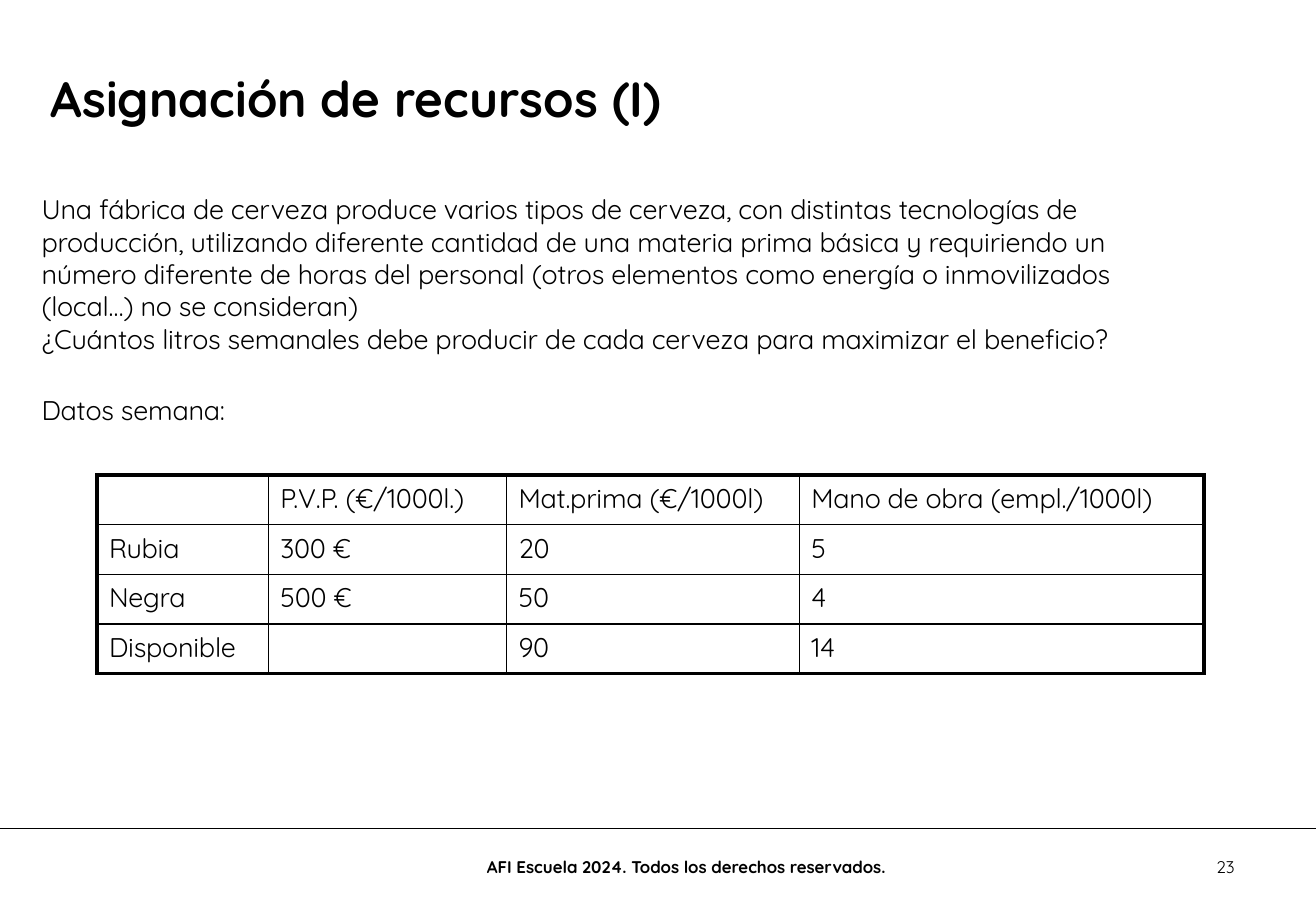
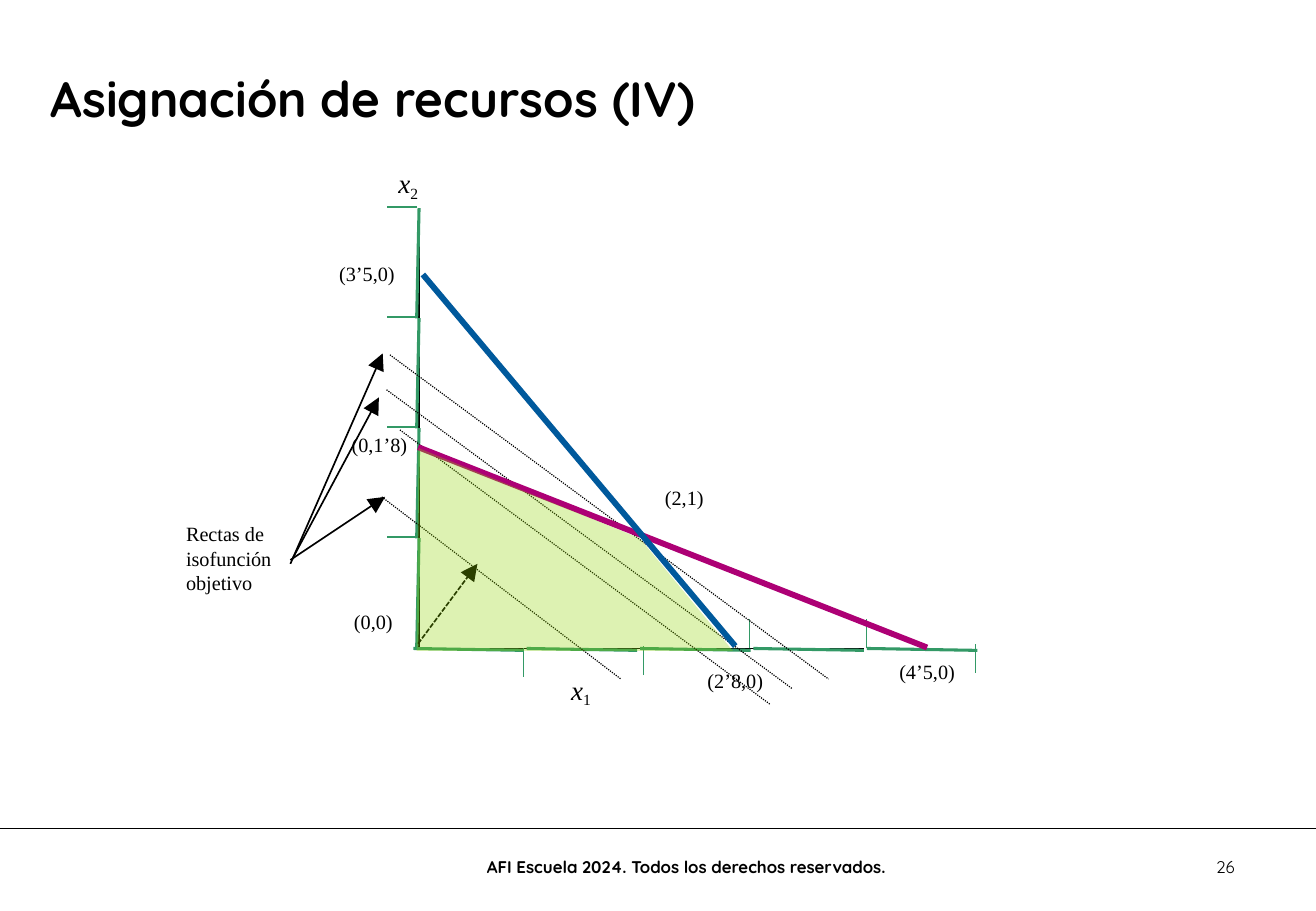
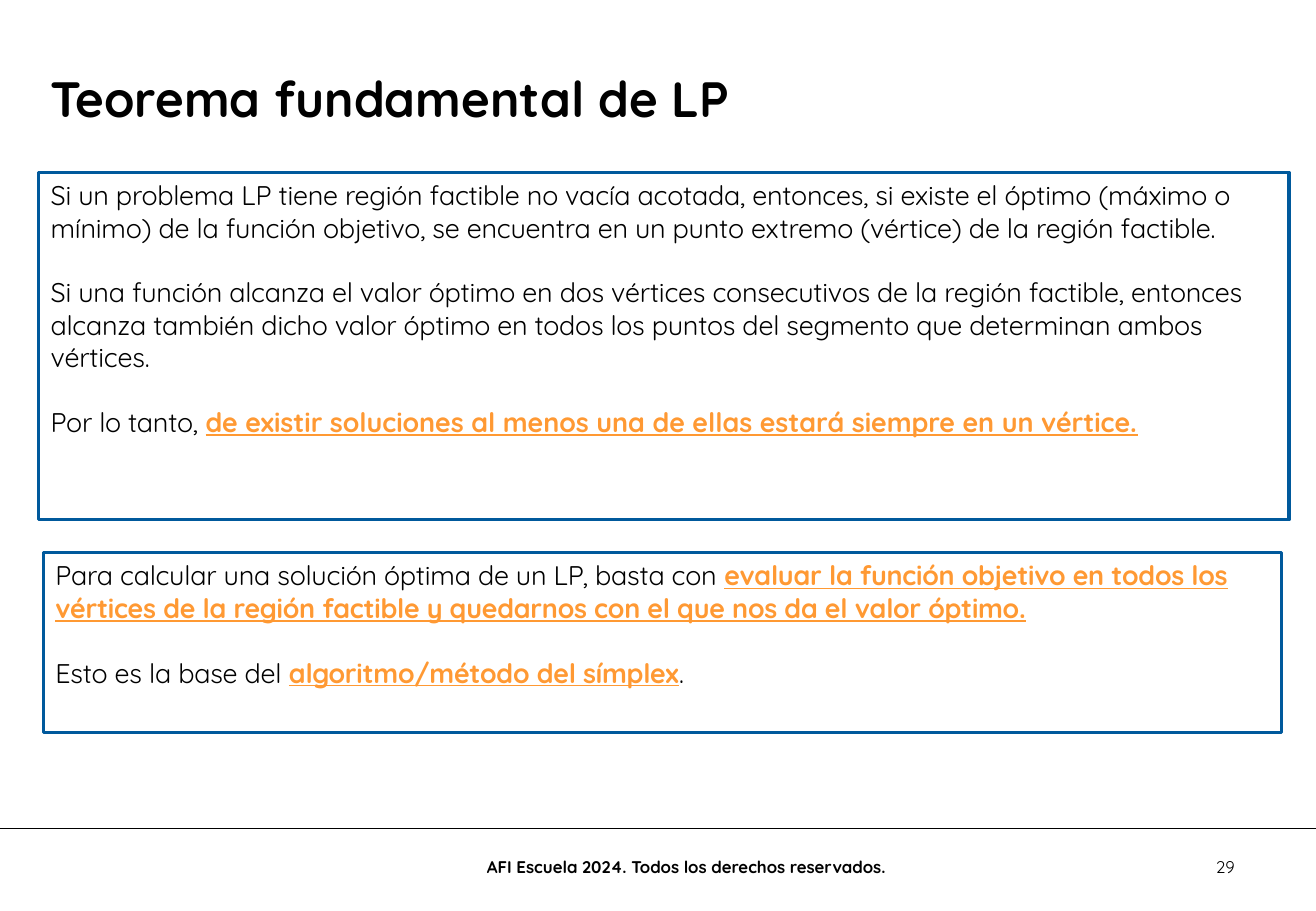
"""Builds three slides on resource allocation and linear programming."""
from dataclasses import dataclass, replace

from lxml.etree import SubElement
from pptx import Presentation
from pptx.dml.color import RGBColor
from pptx.enum.dml import MSO_LINE_DASH_STYLE as Dash
from pptx.enum.shapes import MSO_CONNECTOR as Link, MSO_SHAPE as Shape
from pptx.enum.text import MSO_ANCHOR as Anchor, PP_ALIGN as Align
from pptx.oxml.ns import qn
from pptx.util import Cm, Pt


@dataclass(frozen=True)
class Style:
    """Look of a run of text."""
    font: str = "Quicksand"
    size: float = 16
    color: str = "000000"
    bold: bool = False
    italic: bool = False
    underline: bool = False
    spacing: int = -10
    baseline: int = 0


@dataclass(frozen=True)
class Theme:
    """Colours and type styles of the deck."""
    black: str = "000000"
    white: str = "FFFFFF"
    blue: str = "00599C"
    magenta: str = "AD0075"
    axis: str = "339966"
    region: str = "8FD400"
    title: Style = Style(size=29.4, bold=True, spacing=0)
    number: Style = Style(size=10, spacing=0)
    footer: Style = Style(size=10, bold=True, spacing=0)
    body: Style = Style()
    key: Style = Style(color="FF9933", bold=True, underline=True, spacing=0)
    label: Style = Style(font="Times New Roman", size=12, spacing=0)
    variable: Style = Style(font="Times New Roman", italic=True, spacing=0)
    index: Style = Style(font="Times New Roman", size=15.8, spacing=0, baseline=-21000)


THEME = Theme()
BODY, KEY = THEME.body, THEME.key
KEY_TIGHT = replace(KEY, spacing=-10)

FOOTER = "AFI Escuela 2024. Todos los derechos reservados."
DEFAULT_INSETS = (0.25, 0.13, 0.25, 0.13)

STATEMENT = [
    [("Una fábrica de cerveza produce varios tipos de cerveza, con distintas tecnologías de "
      "producción, utilizando diferente cantidad de una materia prima básica y requiriendo un "
      "número diferente de horas del personal (otros elementos como energía o inmovilizados "
      "(local…) no se consideran)", BODY)],
    [("¿Cuántos litros semanales debe producir de cada cerveza para maximizar el beneficio?", BODY)],
    [("Datos semana:", BODY)],
]
WEEK_DATA = [
    ("", "P.V.P. (€/1000l.)", "Mat.prima (€/1000l)", "Mano de obra (empl./1000l)"),
    ("Rubia", "300 €", "20", "5"),
    ("Negra", "500 €", "50", "4"),
    ("Disponible", "", "90", "14"),
]
COLUMN_WIDTHS = (3.58, 4.98, 6.12, 8.46)
ROW_HEIGHT = 1.04

POINT_LABELS = [
    ("(4’5,0)", 18.77, 13.72), ("(2,1)", 13.87, 10.08), ("(3’5,0)", 7.06, 5.41),
    ("(0,1’8)", 7.32, 8.97), ("(0,0)", 7.37, 12.69), ("(2’8,0)", 14.76, 13.92),
]
AXIS_NAMES = [("2", 8.23, 3.43), ("1", 11.84, 14.02)]
ISO_LABEL = "Rectas de isofunción objetivo"
THIN_AXES = [(8.76, 4.55, 8.76, 13.56), (8.76, 13.56, 18.06, 13.56)]
X_TICKS = [(10.95, 13.54), (13.46, 13.51), (15.67, 12.95), (18.11, 12.95), (20.4, 13.46)]
Y_TICK_COUNT = 4
X_STEP, Y_STEP, SEGMENT, TICK = 2.37, 2.3, 2.31, 0.61
ISO_LINES = [
    (7.98, 10.39, 12.98, 14.2), (8.36, 8.99, 16.1, 14.73),
    (8.08, 8.15, 16.56, 14.4), (8.15, 7.42, 17.32, 14.2),
]
ISO_ARROWS = [
    (6.1, 11.71, 7.92, 8.31), (6.07, 11.79, 8, 7.39), (6.07, 11.71, 8.05, 10.39),
]
GRADIENT = (8.74, 13.46, 9.98, 11.79)
CONSTRAINTS = [
    ((8.74, 9.35, 19.38, 13.54), THEME.magenta),
    ((8.84, 5.74, 15.37, 13.51), THEME.blue),
]
REGION = [(8.75, 9.37), (13.31, 11.23), (13.41, 11.3), (15.32, 13.61), (8.71, 13.61)]

THEOREM_BOXES = [
    ((0.81, 3.61, 26.14, 7.26), [
        [("Si un problema LP tiene región factible no vacía acotada, entonces, si existe el óptimo "
          "(máximo o mínimo) de la función objetivo, se encuentra en un punto extremo (vértice) "
          "de la región factible.", BODY)],
        [("Si una función alcanza el valor óptimo en dos vértices consecutivos de la región "
          "factible, entonces alcanza también dicho valor óptimo en todos los puntos del segmento "
          "que determinan ambos vértices.", BODY)],
        [("Por lo tanto, ", BODY),
         ("de existir soluciones al menos una de ellas estará siempre en un vértice.", KEY)],
    ]),
    ((0.91, 11.56, 25.88, 3.76), [
        [("Para calcular una solución óptima de un LP, basta con ", BODY),
         ("evaluar la función objetivo en todos los vértices de la región factible y quedarnos "
          "con el que nos da el valor óptimo.", KEY_TIGHT)],
        [("Esto es la base del ", BODY), ("algoritmo/método del símplex", KEY_TIGHT), (".", BODY)],
    ]),
]


def rgb(color):
    return RGBColor.from_string(color)


def write(frame, paragraphs, gaps=(), align=Align.LEFT, anchor=Anchor.TOP, insets=DEFAULT_INSETS):
    frame.word_wrap = True
    frame.vertical_anchor = anchor
    (frame.margin_left, frame.margin_top,
     frame.margin_right, frame.margin_bottom) = map(Cm, insets)
    for i, runs in enumerate(paragraphs):
        paragraph = frame.add_paragraph() if i else frame.paragraphs[0]
        paragraph.alignment = align
        if i and gaps:
            paragraph.space_before = Pt(gaps[i - 1])
        for text, style in runs:
            run = paragraph.add_run()
            run.text = text
            format_run(run, style)


def format_run(run, style):
    font = run.font
    font.name, font.size = style.font, Pt(style.size)
    font.bold, font.italic, font.underline = style.bold, style.italic, style.underline
    font.color.rgb = rgb(style.color)
    properties = run._r.get_or_add_rPr()
    for name, value in (("spc", style.spacing), ("baseline", style.baseline)):
        if value:
            properties.set(name, str(value))


def add_text(slide, place, paragraphs, **layout):
    box = slide.shapes.add_textbox(*map(Cm, place))
    write(box.text_frame, paragraphs, **layout)


def add_line(slide, ends, color, width, dash=None, arrow=False):
    line = slide.shapes.add_connector(Link.STRAIGHT, *map(Cm, ends))
    line.line.color.rgb = rgb(color)
    line.line.width = Pt(width)
    if dash:
        line.line.dash_style = dash
    if arrow:
        SubElement(line.line._get_or_add_ln(), qn("a:tailEnd"), type="triangle", w="lg", len="lg")
    SubElement(line._element.spPr, qn("a:effectLst"))


def add_slide(deck, title, number):
    slide = deck.slides.add_slide(deck.slide_layouts[6])
    add_line(slide, (0, 17.32, 27.51, 17.32), THEME.black, 0.25)
    add_text(slide, (0.81, 1.3, 23.14, 1.6), [[(title, THEME.title)]])
    add_text(slide, (23.16, 17.78, 2.9, 0.71), [[(number, THEME.number)]], align=Align.RIGHT)
    add_text(slide, (8.59, 17.68, 11.51, 0.91), [[(FOOTER, THEME.footer)]],
             align=Align.CENTER, anchor=Anchor.MIDDLE)
    return slide


def set_borders(cell, widths):
    properties = cell._tc.get_or_add_tcPr()
    for side, width in zip("LRTB", widths):
        border = SubElement(properties, qn(f"a:ln{side}"), w=str(Pt(width)))
        fill = SubElement(border, qn("a:solidFill"))
        SubElement(fill, qn("a:srgbClr"), val=THEME.black)


def add_week_table(slide):
    rows, columns = len(WEEK_DATA), len(COLUMN_WIDTHS)
    table = slide.shapes.add_table(rows, columns, Cm(2.03), Cm(9.93),
                                   Cm(sum(COLUMN_WIDTHS)), Cm(ROW_HEIGHT * rows)).table
    table.first_row = table.horz_banding = False
    for column, width in zip(table.columns, COLUMN_WIDTHS):
        column.width = Cm(width)
    for r, values in enumerate(WEEK_DATA):
        table.rows[r].height = Cm(ROW_HEIGHT)
        for c, value in enumerate(values):
            cell = table.cell(r, c)
            cell.margin_left, cell.margin_top = Cm(0.25), Cm(0.14)
            cell.margin_right = cell.margin_bottom = 0
            outer = (c == 0, c == columns - 1, r == 0, r == rows - 1)
            set_borders(cell, [2.25 if edge else 1 for edge in outer])
            cell.fill.background()
            cell.text_frame.text = value
            for run in cell.text_frame.paragraphs[0].runs:
                format_run(run, BODY)


def add_axes(slide):
    for ends in THIN_AXES:
        add_line(slide, ends, THEME.black, 0.96)
    for i, (x, top) in enumerate(X_TICKS):
        start = 8.64 + X_STEP * i
        add_line(slide, (start, 13.56, start + SEGMENT, 13.6), THEME.axis, 1.8)
        add_line(slide, (x, top + TICK, x, top), THEME.axis, 0.72)
    for i in range(Y_TICK_COUNT):
        bottom, y = 13.56 - Y_STEP * i, 11.23 - Y_STEP * i
        add_line(slide, (8.71, bottom, 8.76, bottom - SEGMENT), THEME.axis, 1.8)
        add_line(slide, (8.71, y, 8.71 - TICK, y), THEME.axis, 0.72)


def add_region(slide):
    start, *others = [(Cm(x), Cm(y)) for x, y in REGION]
    builder = slide.shapes.build_freeform(*start)
    builder.add_line_segments(others)
    region = builder.convert_to_shape()
    region.shadow.inherit = False
    region.line.fill.background()
    region.fill.solid()
    region.fill.fore_color.rgb = rgb(THEME.region)
    color = region._element.spPr.find(qn("a:solidFill")).find(qn("a:srgbClr"))
    SubElement(color, qn("a:alpha"), val="30000")


def add_graph(slide):
    label_insets = (0.03, 0.06, 0, 0)
    for text, left, top in POINT_LABELS:
        add_text(slide, (left, top, 1.4, 0.58), [[(text, THEME.label)]], insets=label_insets)
    for index, left, top in AXIS_NAMES:
        add_text(slide, (left, top, 0.8, 0.74),
                 [[("x", THEME.variable), (index, THEME.index)]], insets=(0.1, 0.06, 0, 0))
    add_text(slide, (3.86, 10.85, 2.1, 1.6), [[(ISO_LABEL, THEME.label)]], insets=label_insets)
    add_axes(slide)
    for ends in ISO_LINES:
        add_line(slide, ends, THEME.black, 0.72, Dash.ROUND_DOT)
    for ends in ISO_ARROWS:
        add_line(slide, ends, THEME.black, 1, arrow=True)
    add_line(slide, GRADIENT, THEME.black, 1, Dash.SQUARE_DOT, arrow=True)
    for ends, color in CONSTRAINTS:
        add_line(slide, ends, color, 3.48)
    add_region(slide)


def add_theorem(slide):
    for place, paragraphs in THEOREM_BOXES:
        box = slide.shapes.add_shape(Shape.RECTANGLE, *map(Cm, place))
        box.shadow.inherit = False
        box.fill.solid()
        box.fill.fore_color.rgb = rgb(THEME.white)
        box.line.color.rgb = rgb(THEME.blue)
        box.line.width = Pt(2)
        write(box.text_frame, paragraphs, gaps=[19.2] * (len(paragraphs) - 1))


def main():
    deck = Presentation()
    deck.slide_width, deck.slide_height = Cm(27.51), Cm(19.05)
    allocation = add_slide(deck, "Asignación de recursos (I)", "23")
    add_text(allocation, (0.84, 4.03, 24.36, 4.98), STATEMENT, gaps=(0, 23),
             insets=(0.03, 0, 0, 0))
    add_week_table(allocation)
    add_graph(add_slide(deck, "Asignación de recursos (IV)", "26"))
    add_theorem(add_slide(deck, "Teorema fundamental de LP", "29"))
    deck.save("out.pptx")


if __name__ == "__main__":
    main()
